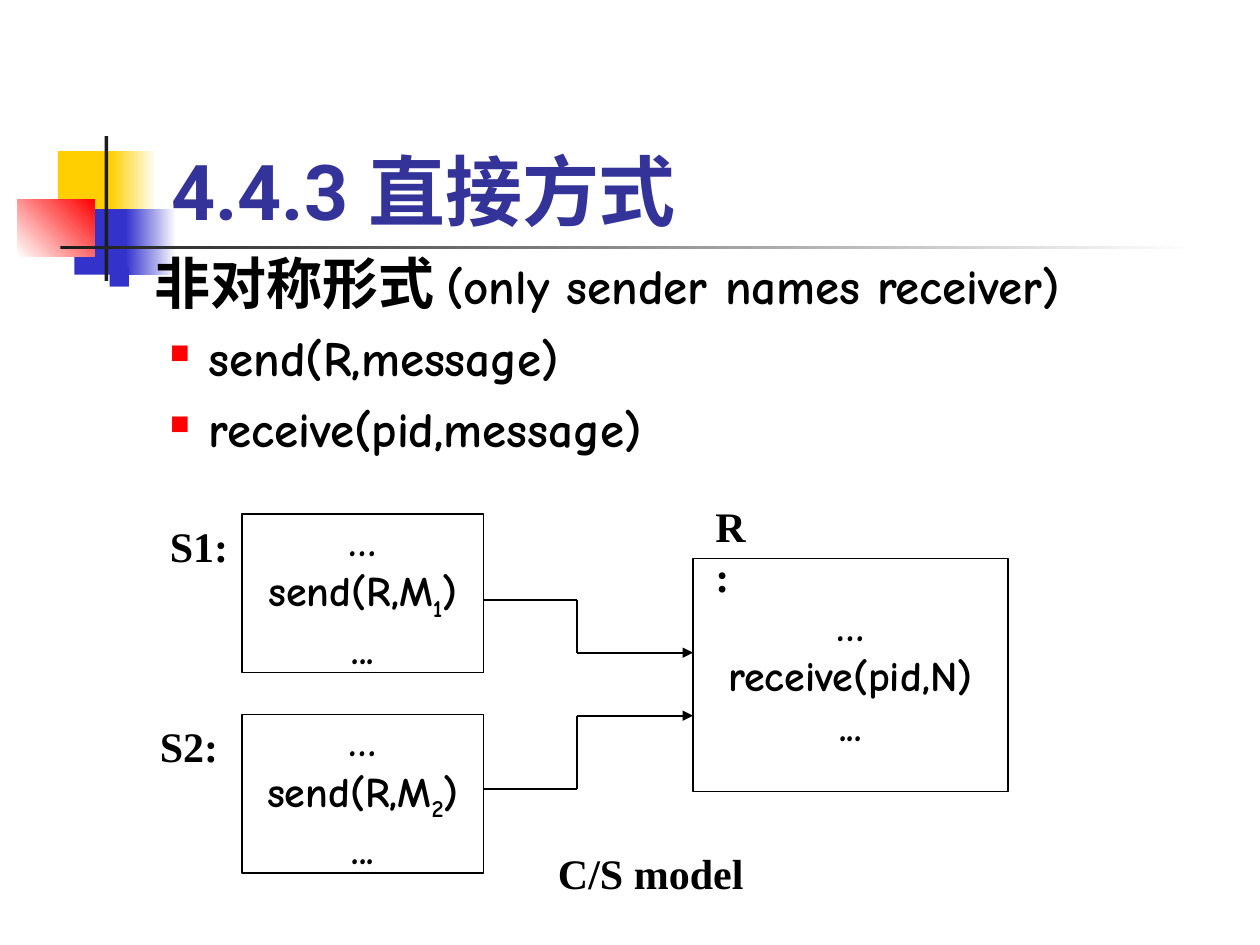
from typing import NamedTuple, Optional

from lxml import etree
from pptx import Presentation
from pptx import util as u
from pptx.dml.color import RGBColor
from pptx.enum import shapes, text
from pptx.oxml.ns import qn

PX = 9144  # 100 px to the inch
BLACK, WHITE = "000000", "FFFFFF"
COMIC, ROBOTO, TIMES = "Comic Neue", "Roboto", "Times New Roman"


class Block(NamedTuple):
    x: int
    y: int
    w: int
    h: int
    color: str
    to: Optional[str] = None  # second colour of a gradient
    angle: int = 0


class Process(NamedTuple):
    x: int
    y: int
    w: int
    h: int
    call: list  # (text, baseline) pairs


class Label(NamedTuple):
    x: int
    y: int
    w: int
    h: int
    words: str


class Item(NamedTuple):
    runs: list  # (text, font, size) triples
    margin: int
    hang: int
    bullet: str
    percent: int


BLOCKS = [
    Block(46, 120, 48, 52, "FFCF01"),
    Block(88, 120, 36, 52, "FFCF01", WHITE),
    Block(59, 166, 46, 52, "3333CC"),
    Block(100, 166, 40, 52, "3333CC", WHITE),
    Block(14, 158, 61, 46, WHITE, "FF0000", 45),
    Block(83, 108, 3, 115, "1C1C1C"),
    Block(48, 195, 900, 3, "1C1C1C", WHITE),
]
PROCESSES = [
    Process(550, 443, 250, 185, [("receive(pid,N)", 0)]),
    Process(192, 408, 192, 126, [("send(R,M", 0), ("1", -25000), (")", 0)]),
    Process(192, 567, 192, 126, [("send(R,M", 0), ("2", -25000), (")", 0)]),
]
# Each route runs from a sender to the receiver
ROUTES = [
    [(383, 476), (458, 476), (458, 518), (550, 518)],
    [(383, 626), (458, 626), (458, 568), (550, 568)],
]
LABELS = [
    Label(433, 668, 308, 50, "C/S model"),
    Label(558, 392, 50, 90, "R:"),
    Label(125, 408, 67, 50, "S1:"),
    Label(117, 567, 75, 50, "S2:"),
]
ITEMS = [
    Item([("非对称形式", ROBOTO, 32), (" (only sender names receiver)", COMIC, 28)],
         38, 38, "3333CC", 60),
    Item([("send(R,message)", COMIC, 28)], 81, 31, "FF0000", 55),
    Item([("receive(pid,message)", COMIC, 28)], 81, 31, "FF0000", 55),
]


def rgb(value: str) -> RGBColor:
    return RGBColor.from_string(value)


def px(*values: int) -> list:
    return [u.Emu(v * PX) for v in values]


def add_run(p, words: str, font: str, size: int, color: str = BLACK, baseline: int = 0):
    r = p.add_run()
    r.text = words
    for name, value in {"name": font, "size": u.Pt(size), "bold": True}.items():
        setattr(r.font, name, value)
    r.font.color.rgb = rgb(color)
    if baseline:
        r.font._element.set("baseline", str(baseline))


def add_rect(s, x: int, y: int, w: int, h: int):
    sp = s.shapes.add_shape(shapes.MSO_SHAPE.RECTANGLE, *px(x, y, w, h))
    sp.shadow.inherit = False
    return sp


def add_block(s, b: Block):
    sp = add_rect(s, *b[:4])
    sp.line.fill.background()
    if b.to is None:
        sp.fill.solid()
        sp.fill.fore_color.rgb = rgb(b.color)
        return
    sp.fill.gradient()
    sp.fill.gradient_angle = b.angle
    for stop, color in zip(sp.fill.gradient_stops, (b.color, b.to)):
        stop.color.rgb = rgb(color)


def add_process(s, box: Process):
    sp = add_rect(s, *box[:4])
    sp.fill.solid()
    sp.fill.fore_color.rgb = rgb(WHITE)
    sp.line.color.rgb = rgb(BLACK)
    sp.line.width = u.Pt(0.75)
    tf = sp.text_frame
    tf.word_wrap = False
    tf.vertical_anchor = text.MSO_ANCHOR.MIDDLE
    for i, runs in enumerate(([("…", 0)], box.call, [("...", 0)])):
        p = tf.add_paragraph() if i else tf.paragraphs[0]
        p.alignment = text.PP_ALIGN.CENTER
        for words, baseline in runs:
            add_run(p, words, COMIC, 24, baseline=baseline)


def add_route(s, points: list):
    for start, end in zip(points, points[1:]):
        c = s.shapes.add_connector(shapes.MSO_CONNECTOR.STRAIGHT, *px(*start, *end))
        c.line.color.rgb = rgb(BLACK)
        c.line.width = u.Pt(1.25)
        if end == points[-1]:
            etree.SubElement(c.line._get_or_add_ln(), qn("a:tailEnd"), type="triangle")
        etree.SubElement(c._element.spPr, qn("a:effectLst"))


def add_text_box(s, x: int, y: int, w: int, h: int):
    tf = s.shapes.add_textbox(*px(x, y, w, h)).text_frame
    tf.word_wrap = True
    return tf


def add_items(s, items: list):
    tf = add_text_box(s, 75, 192, 850, 200)
    for i, item in enumerate(items):
        p = tf.add_paragraph() if i else tf.paragraphs[0]
        pPr = p._p.get_or_add_pPr()
        pPr.set("marL", str(item.margin * PX))
        pPr.set("indent", str(-item.hang * PX))
        color = etree.SubElement(pPr, qn("a:buClr"))
        etree.SubElement(color, qn("a:srgbClr"), val=item.bullet)
        etree.SubElement(pPr, qn("a:buSzPct"), val=str(item.percent * 1000))
        etree.SubElement(pPr, qn("a:buChar"), char="■")
        if i:
            p.space_before = u.Pt(7)
        for run in item.runs:
            add_run(p, *run)


def add_title(s, words: str):
    sp = s.shapes.title
    s.shapes.element.append(sp.element)  # in front of the blocks
    sp.left, sp.top, sp.width, sp.height = px(126, 67, 852, 125)
    tf = sp.text_frame
    tf.vertical_anchor = text.MSO_ANCHOR.BOTTOM
    p = tf.paragraphs[0]
    p.alignment = text.PP_ALIGN.LEFT
    add_run(p, words, ROBOTO, 44, "333399")


def main():
    prs = Presentation()
    prs.slide_width, prs.slide_height = px(1000, 750)
    s = prs.slides.add_slide(prs.slide_layouts[5])

    # Decoration and title
    for block in BLOCKS:
        add_block(s, block)
    add_title(s, "4.4.3 直接方式")

    # Diagram
    for box in PROCESSES:
        add_process(s, box)
    for route in ROUTES:
        add_route(s, route)

    # Body text and labels
    add_items(s, ITEMS)
    for label in LABELS:
        tf = add_text_box(s, *label[:4])
        add_run(tf.paragraphs[0], label.words, TIMES, 24)

    prs.save("out.pptx")


if __name__ == "__main__":
    main()
